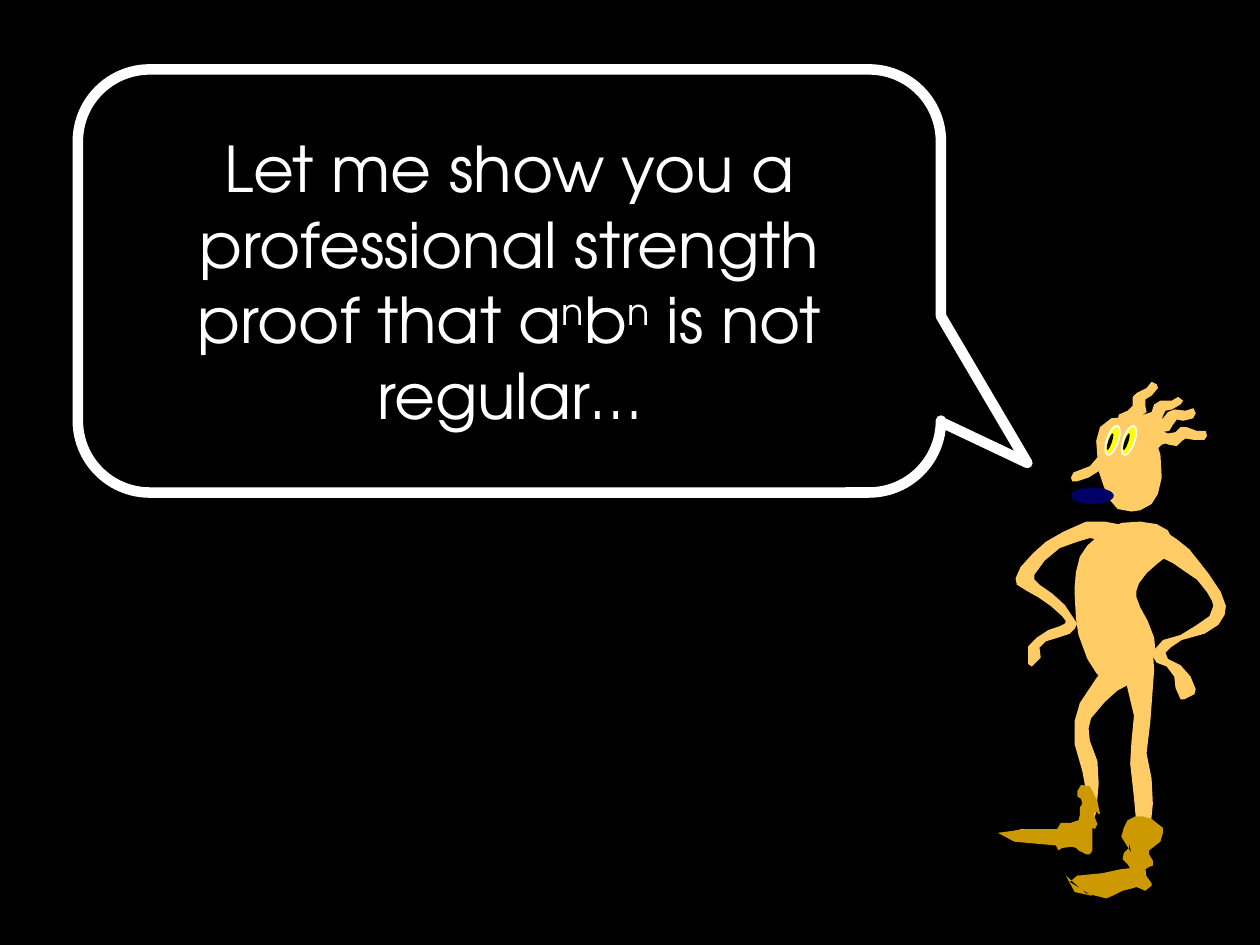
from collections import namedtuple
from dataclasses import dataclass

from pptx import Presentation
from pptx.dml.color import RGBColor
from pptx.enum.shapes import MSO_SHAPE
from pptx.enum.text import MSO_ANCHOR, PP_ALIGN
from pptx.util import Cm, Pt

Box = namedtuple("Box", "left top width height")


@dataclass(frozen=True)
class Theme:
    background: RGBColor = RGBColor(0x00, 0x00, 0x00)
    foreground: RGBColor = RGBColor(0xFF, 0xFF, 0xFF)
    skin: RGBColor = RGBColor(0xFF, 0xCC, 0x66)
    boots: RGBColor = RGBColor(0xCC, 0x99, 0x00)
    eyes: RGBColor = RGBColor(0xFF, 0xFF, 0x00)
    mouth: RGBColor = RGBColor(0x00, 0x00, 0x66)
    font: str = "TeX Gyre Adventor"
    speech_size: Pt = Pt(36)
    bubble_line: Pt = Pt(6)
    eye_line: Pt = Pt(1)


THEME = Theme()

# Each run of the speech with its baseline shift in percent.
SPEECH = [
    ("Let me show you a professional strength proof that a", 0),
    ("n", 30),
    ("b", 0),
    ("n", 30),
    (" is not regular…", 0),
]

# The figure is laid out on a grid of 300 columns; outlines are "x,y" points.
GRID_COLUMNS = 300
TORSO = """154,154 157,142 163,133 173,124 190,115 205,114 218,116 227,121 230,127
    230,134 227,141 219,147 210,155 204,163 202,169 202,174 205,182 211,193 216,206
    217,215 215,224 212,232 204,240 197,243 189,244 181,244 176,241 170,234 163,223
    156,204 154,191 153,173 153,165"""
RIGHT_ARM = """216,137 212,133 210,129 213,124 217,122 225,122 234,128 244,136 259,155
    269,170 273,181 272,188 267,196 256,203 238,208 229,214 225,218 227,223 237,228
    245,237 249,247 248,251 240,255 237,255 233,246 232,237 226,229 218,226 215,221
    216,216 223,208 237,204 250,196 260,189 263,181 262,177 258,170 250,160 241,154
    231,147 223,143"""
LEFT_ARM = """144,122 162,114 177,114 193,117 198,122 195,127 191,135 183,134 176,131
    170,128 165,127 155,130 141,135 129,145 124,152 121,156 121,160 125,164 135,171
    145,180 151,189 155,195 153,199 149,203 140,206 130,209 125,214 126,222 119,229
    116,227 116,213 123,206 132,200 141,197 145,195 146,193 143,189 134,181 124,174
    115,169 107,164 106,159 110,150 120,139 130,130 137,126"""
RIGHT_LEG = """191,228 192,216 201,212 210,212 215,216 216,232 213,273 210,298 214,318
    215,338 213,358 208,383 210,397 205,399 176,404 169,406 158,400 158,397 190,395
    201,392 202,383 202,355 200,333 197,306 198,289 200,268 195,247"""
LEFT_LEG = """153,280 153,272 157,258 171,237 193,218 207,218 213,227 204,239 187,248
    177,257 166,270 164,278 165,288 171,304 172,322 170,345 164,361 154,370 147,370
    125,365 105,365 99,361 111,358 132,359 145,362 153,360 161,347 162,328 159,312
    153,291"""
HEAD = """171,63 170,50 173,39 182,32 194,31 203,32 211,37 216,45 221,61 222,79 219,92
    214,100 205,105 198,106 187,104 181,97 176,86 172,74 164,79 155,82 151,82 150,79
    152,75 165,70"""
HAIR = [
    """214,58 211,55 211,49 215,43 220,41 227,44 233,43 237,39 242,39 250,42 257,42
    258,46 256,49 247,49 241,48 238,50 234,54 228,53 225,52 222,53 219,56""",
    """210,50 206,49 204,42 206,36 211,33 218,34 223,32 227,27 232,25 241,26 247,24
    249,28 247,32 239,34 234,33 231,37 228,42 222,43 219,42 216,44 214,47""",
    """205,47 202,46 198,40 199,33 202,30 208,29 214,27 216,21 221,18 230,18 235,15
    239,18 237,21 230,25 225,26 223,30 221,36 215,38 211,37 209,39 208,43""",
    """200,43 195,44 190,40 187,34 188,29 195,26 199,22 199,15 202,12 210,8 214,3
    218,5 219,8 214,14 209,17 209,22 210,27 205,31 202,32 200,35 200,38""",
]
RIGHT_BOOT = """190,364 192,357 195,351 201,348 207,348 214,350 223,357 223,361 221,368
    212,375 212,378 215,383 215,387 212,388 209,390 209,394 214,401 214,403 209,407
    202,404 199,405 191,407 183,411 178,413 162,409 146,395 153,408 167,411 149,400
    155,395 175,393 189,390 197,389 195,386 191,382 192,377 196,373 196,369 194,361
    198,377"""
LEFT_BOOT = """158,323 165,324 171,336 173,346 172,346 170,344 168,346 169,349 171,354
    169,358 167,357 167,361 167,366 167,375 165,378 162,378 158,376 156,375 154,373
    151,372 143,373 140,375 138,371 105,368 92,361 114,358 127,358 139,358 142,353
    150,353 153,352 156,351 157,347 157,344 157,341 159,338 158,334 155,332 155,328"""
BODY = [TORSO, RIGHT_ARM, LEFT_ARM, RIGHT_LEG, LEFT_LEG, HEAD, *HAIR]
EYE_COLUMNS = (171, 184)
EYE_TILT = 288.6


def paint(shape, fill, line=None, line_width=None):
    shape.shadow.inherit = False
    if fill is None:
        shape.fill.background()
    else:
        shape.fill.solid()
        shape.fill.fore_color.rgb = fill
    if line is None:
        shape.line.fill.background()
    else:
        shape.line.color.rgb = line
        shape.line.width = line_width


def add_speech_bubble(slide, box):
    bubble = slide.shapes.add_shape(MSO_SHAPE.ROUNDED_RECTANGULAR_CALLOUT, *box)
    for index, value in enumerate((0.6, 0.43, 0.17)):
        bubble.adjustments[index] = value
    paint(bubble, None, THEME.foreground, THEME.bubble_line)

    frame = bubble.text_frame
    frame.word_wrap = True
    frame.vertical_anchor = MSO_ANCHOR.MIDDLE
    frame.margin_left = frame.margin_right = Cm(0.76)
    frame.margin_top = frame.margin_bottom = Cm(0.13)
    paragraph = frame.paragraphs[0]
    paragraph.alignment = PP_ALIGN.CENTER
    for text, shift in SPEECH:
        run = paragraph.add_run()
        run.text = text
        run.font.name = THEME.font
        run.font.size = THEME.speech_size
        run.font.color.rgb = THEME.foreground
        if shift:
            run._r.get_or_add_rPr().set("baseline", str(shift * 1000))


def add_figure(slide, box):
    """Draw the speaker as one group on a grid that spans the box."""
    parts = slide.shapes.add_group_shape().shapes
    unit = box.width / GRID_COLUMNS

    def add_outline(outline, fill):
        points = [tuple(map(int, pair.split(","))) for pair in outline.split()]
        builder = parts.build_freeform(*points[0], scale=unit)
        builder.add_line_segments(points[1:], close=True)
        paint(builder.convert_to_shape(box.left, box.top), fill)

    def add_oval(column, row, width, height, fill, tilt=0, line=None):
        oval = parts.add_shape(
            MSO_SHAPE.OVAL,
            round(box.left + column * unit), round(box.top + row * unit),
            round(width * unit), round(height * unit))
        oval.rotation = tilt
        paint(oval, fill, line, THEME.eye_line)

    for outline in BODY:
        add_outline(outline, THEME.skin)
    for column in EYE_COLUMNS:
        add_oval(column, 45, 24, 9, THEME.eyes, EYE_TILT, THEME.foreground)
        add_oval(column + 3, 49, 14, 3, THEME.background, EYE_TILT)
    add_oval(150, 87, 34, 13, THEME.mouth)
    for outline in (RIGHT_BOOT, LEFT_BOOT):
        add_outline(outline, THEME.boots)


def main():
    presentation = Presentation()
    presentation.slide_width = Cm(25.4)
    presentation.slide_height = Cm(19.05)
    slide = presentation.slides.add_slide(presentation.slide_layouts[6])
    slide.background.fill.solid()
    slide.background.fill.fore_color.rgb = THEME.background

    add_speech_bubble(slide, Box(Cm(1.57), Cm(1.4), Cm(17.4), Cm(8.53)))
    add_figure(slide, Box(Cm(17.78), Cm(7.62), Cm(7.62), Cm(11.43)))
    presentation.save("out.pptx")


if __name__ == "__main__":
    main()
